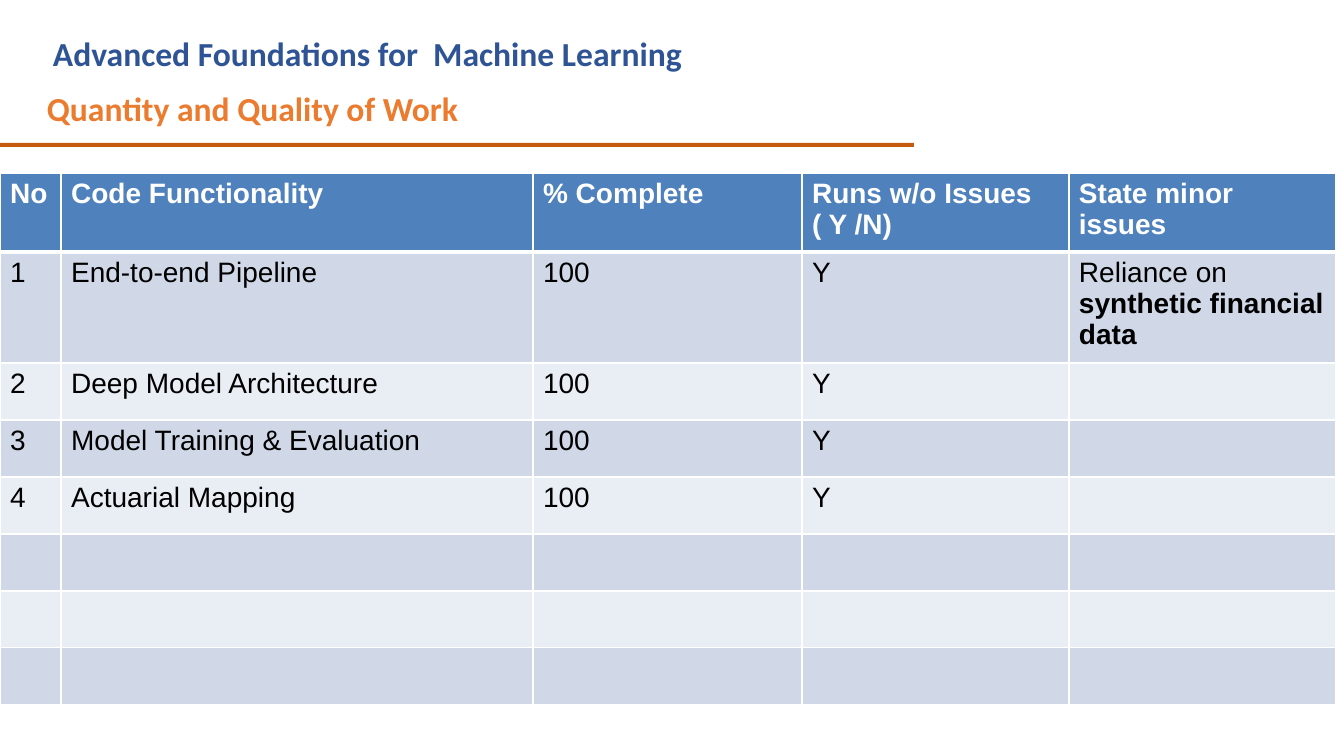
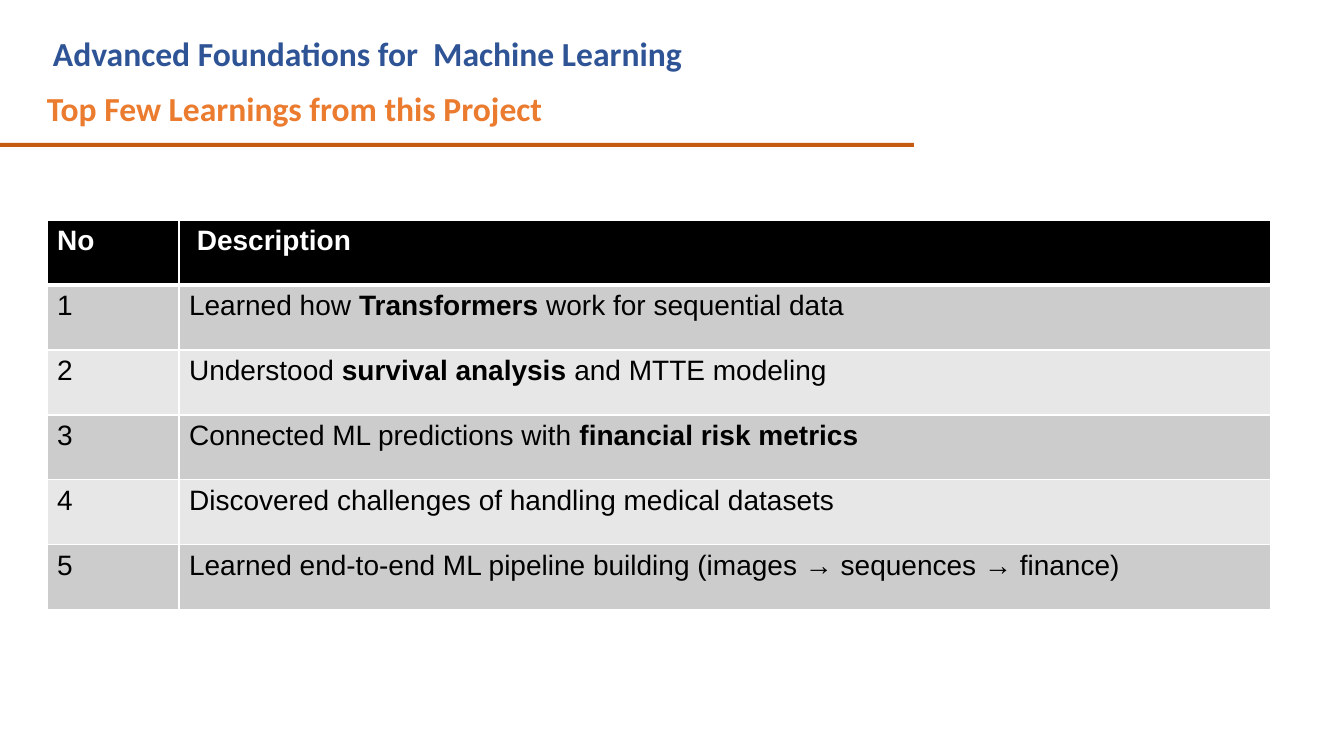
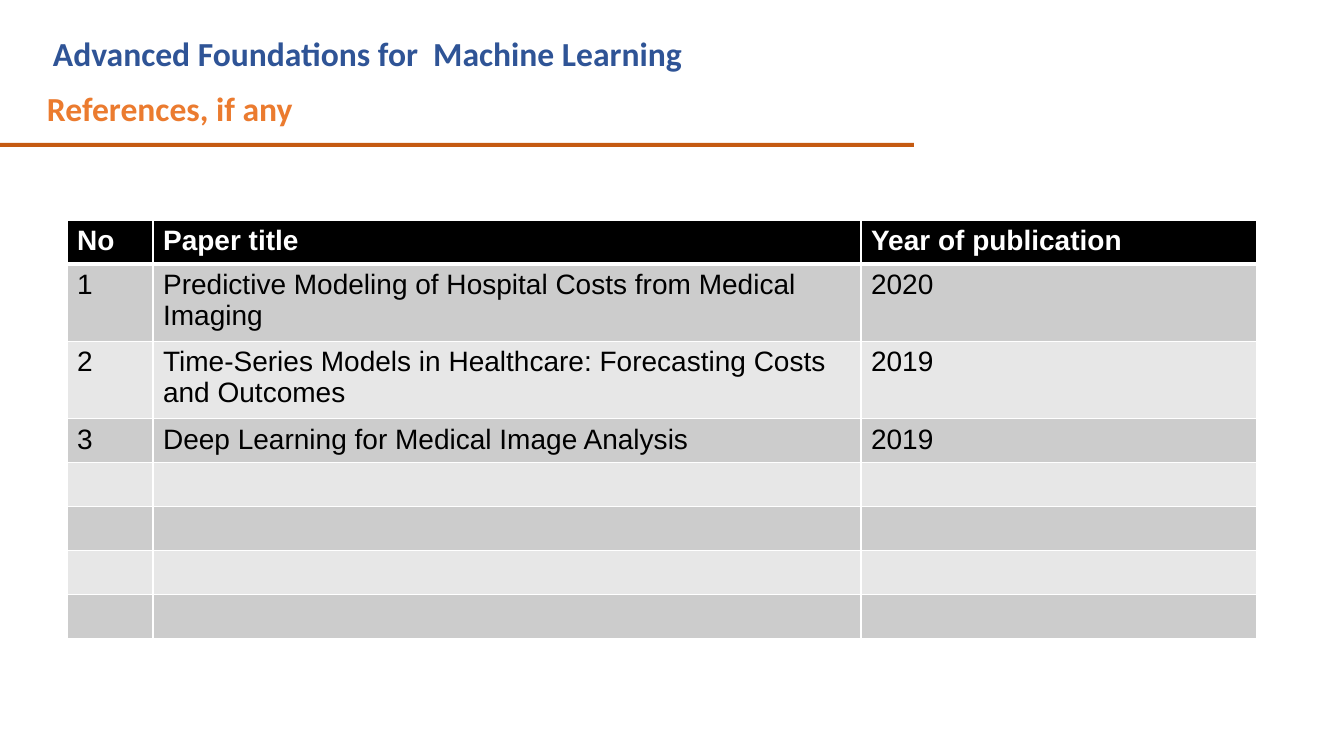
import pptx
import pptx.dml.color
import pptx.enum.shapes
import pptx.oxml
import pptx.oxml.ns
import pptx.util

RGBColor = pptx.dml.color.RGBColor
WHITE = RGBColor(0xFF, 0xFF, 0xFF)
BLACK = RGBColor(0x00, 0x00, 0x00)
COURSE_BLUE = RGBColor(0x2F, 0x54, 0x96)
TITLE_ORANGE = RGBColor(0xEB, 0x7B, 0x2F)
RULE_ORANGE = RGBColor(0xC5, 0x5A, 0x11)
HEADER_BLUE = RGBColor(0x4F, 0x81, 0xBD)
BAND_BLUE = RGBColor(0xD0, 0xD8, 0xE8)
PALE_BLUE = RGBColor(0xE9, 0xED, 0xF4)
BAND_GREY = RGBColor(0xCC, 0xCC, 0xCC)
PALE_GREY = RGBColor(0xE7, 0xE7, 0xE7)

# Header fill, odd rows, even rows
BLUE_TABLE = (HEADER_BLUE, BAND_BLUE, PALE_BLUE)
GREY_TABLE = (BLACK, BAND_GREY, PALE_GREY)

SLIDE_WIDTH, SLIDE_HEIGHT = 1344, 756
EMU_PER_PX = 12192000 / SLIDE_WIDTH
COURSE = "Advanced Foundations for  Machine Learning"


def px(length):
    return pptx.util.Emu(round(length * EMU_PER_PX))


class Deck:
    heading_font, heading_size = "Calibri", 24
    table_font, table_size = "Arial", 20
    grid_line, header_line = 1, 3

    def __init__(self):
        self.presentation = pptx.Presentation()
        self.presentation.slide_width = px(SLIDE_WIDTH)
        self.presentation.slide_height = px(SLIDE_HEIGHT)
        self.slide = None

    def add_slide(self, title):
        """Start a slide with the rule, course name and title that all share."""
        self.slide = self.presentation.slides.add_slide(self.presentation.slide_layouts[6])
        self.add_rule(0, 143, 914, 4)
        self.add_heading(COURSE, COURSE_BLUE, 43, 28, 827, 50)
        frame = self.add_heading(title, TITLE_ORANGE, 46, 73, 599, 56)
        frame.margin_left = frame.margin_right = frame.margin_bottom = 0
        frame.margin_top = px(1)
        paragraph = frame.paragraphs[0]
        paragraph.line_spacing = 1.35
        properties = paragraph._p.get_or_add_pPr()
        properties.set("marL", str(px(6)))
        properties.set("indent", str(px(-5)))

    def add_rule(self, left, top, width, height):
        shape = self.slide.shapes.add_shape(
            pptx.enum.shapes.MSO_SHAPE.RECTANGLE, px(left), px(top), px(width), px(height))
        shape.shadow.inherit = False
        shape.fill.solid()
        shape.fill.fore_color.rgb = RULE_ORANGE
        shape.line.fill.background()

    def add_heading(self, text, color, left, top, width, height):
        frame = self.slide.shapes.add_textbox(px(left), px(top), px(width), px(height)).text_frame
        frame.word_wrap = True
        frame.text = text
        self.format_run(frame.paragraphs[0].runs[0], self.heading_font, self.heading_size, color, True)
        return frame

    def format_run(self, run, font, size, color, bold):
        run.font.name = font
        run.font.size = pptx.util.Pt(size)
        run.font.color.rgb = color
        run.font.bold = bold

    def add_table(self, left, top, widths, heights, fills, rows):
        """Add a banded table; rows missing from the list stay empty."""
        table = self.slide.shapes.add_table(
            len(heights), len(widths), px(left), px(top), px(sum(widths)), px(sum(heights))).table
        for column, width in zip(table.columns, widths):
            column.width = px(width)
        for row, height in zip(table.rows, heights):
            row.height = px(height)
        for row_index, row in enumerate(table.rows):
            is_header = row_index == 0
            fill = fills[0] if is_header else fills[2 - row_index % 2]
            texts = rows[row_index] if row_index < len(rows) else ()
            for cell in row.cells:
                self.add_borders(cell, row_index)
                cell.fill.solid()
                cell.fill.fore_color.rgb = fill
            for cell, text in zip(row.cells, texts):
                self.fill_cell(cell, text, is_header)

    def add_borders(self, cell, row_index):
        top = self.header_line if row_index == 1 else self.grid_line
        bottom = self.header_line if row_index == 0 else self.grid_line
        properties = cell._tc.get_or_add_tcPr()
        for side, width in (("L", self.grid_line), ("R", self.grid_line), ("T", top), ("B", bottom)):
            properties.append(pptx.oxml.parse_xml(
                f'<a:ln{side} {pptx.oxml.ns.nsdecls("a")} w="{pptx.util.Pt(width)}">'
                f'<a:solidFill><a:srgbClr val="{WHITE}"/></a:solidFill></a:ln{side}>'))

    def fill_cell(self, cell, text, is_header):
        """Write text into a cell; parts between asterisks are bold."""
        paragraph = cell.text_frame.paragraphs[0]
        for index, part in enumerate(text.split("*")):
            if part:
                run = paragraph.add_run()
                run.text = part
                self.format_run(run, self.table_font, self.table_size,
                                WHITE if is_header else BLACK, is_header or index % 2 == 1)


def main():
    deck = Deck()

    deck.add_slide("Quantity and Quality of Work")
    deck.add_table(0, 173, [61, 472, 269, 267, 267], [79, 111] + [57] * 6, BLUE_TABLE, [
        ("No", "Code Functionality", "% Complete", "Runs w/o Issues ( Y /N)", "State minor issues"),
        ("1", "End-to-end Pipeline", "100", "Y", "Reliance on *synthetic financial data*"),
        ("2", "Deep Model Architecture", "100", "Y"),
        ("3", "Model Training & Evaluation", "100", "Y"),
        ("4", "Actuarial Mapping", "100", "Y"),
    ])

    deck.add_slide("Top Few Learnings from this Project")
    deck.add_table(47, 220, [132, 1092], [65] * 6, GREY_TABLE, [
        ("No", " Description"),
        ("1", "Learned how *Transformers* work for sequential data"),
        ("2", "Understood *survival analysis* and MTTE modeling"),
        ("3", "Connected ML predictions with *financial risk metrics*"),
        ("4", "Discovered challenges of handling medical datasets"),
        ("5", "Learned end-to-end ML pipeline building (images → sequences → finance)"),
    ])

    deck.add_slide("References, if any")
    deck.add_table(67, 220, [86, 708, 396], [44, 77, 77] + [44] * 5, GREY_TABLE, [
        ("No", "Paper title", "Year of publication"),
        ("1", "Predictive Modeling of Hospital Costs from Medical Imaging", "2020"),
        ("2", "Time-Series Models in Healthcare: Forecasting Costs and Outcomes", "2019"),
        ("3", "Deep Learning for Medical Image Analysis", "2019"),
    ])

    deck.presentation.save("out.pptx")


if __name__ == "__main__":
    main()
